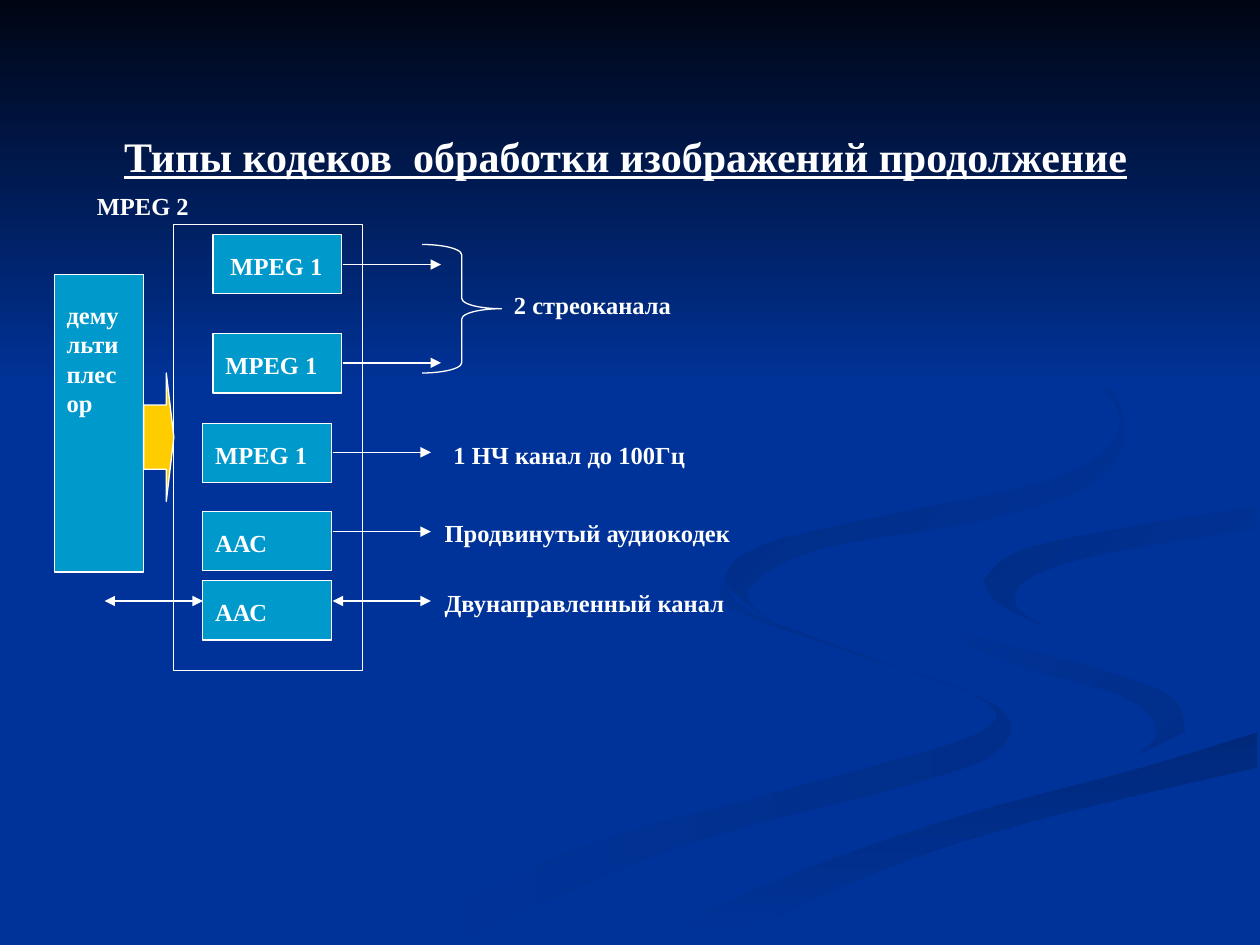
from lxml import etree
from pptx import Presentation
from pptx.dml.color import RGBColor
from pptx.enum.shapes import MSO_CONNECTOR as Line, MSO_SHAPE as Shape
from pptx.enum.text import PP_ALIGN as Align
from pptx.oxml.ns import qn
from pptx.util import Inches, Pt

COLORS = {
    "night": "000514", "background": "003399", "ribbon": "002E8A", "deep": "00297C",
    "shade": "002C85", "curl": "002B81", "codec": "0099CC", "arrow": "FFCC00",
    "white": "FFFFFF",
}
FONT = "Times New Roman"

EDGES = {
    "stream inner": [(5.75, 4.59), (5.81, 4.83), (6.79, 5.19), (7.76, 5.53), (7.74, 5.83),
                     (6.16, 6.29), (4.58, 6.74), (3, 7.49)],
    "stream outer": [(3.61, 7.49), (5.32, 6.74), (7.21, 6.23), (7.91, 5.97), (7.92, 5.61),
                     (6.82, 5.19), (5.94, 4.85), (5.75, 4.59)],
    "swirl outer": [(7.24, 4.64), (7.58, 4.98), (8.7, 5.3), (9.3, 5.53), (9.41, 5.81)],
    "swirl inner": [(8.94, 6.05), (9.18, 5.81), (8.92, 5.53), (7.97, 5.24), (7.33, 4.88),
                    (7.24, 4.64)],
    "sweep top": [(5.03, 7.49), (6.3, 6.93), (7.64, 6.47), (9.03, 6.1), (9.98, 5.81)],
    "sweep bottom": [(9.98, 6.09), (8.21, 6.51), (6.95, 6.92), (5.71, 7.49)],
    "field left": [(9.41, 5.81), (8.69, 6.11), (6.63, 6.68), (4.77, 7.49)],
    "field right": [(9.98, 5.38), (8.66, 5.09), (7.86, 4.73), (7.81, 4.6)],
    "field top": [(9.98, 3.87), (8.51, 4.11), (7.55, 4.32), (7.24, 4.64)],
    "bend outer": [(7.81, 4.6), (8.1, 4.37), (8.98, 4.18), (9.98, 4.02)],
    "bend inner": [(9.98, 4.2), (8.78, 4.39), (8.16, 4.59), (8.06, 4.8), (8.26, 4.96)],
    "bend back": [(8.26, 4.96), (7.91, 4.78), (7.81, 4.6)],
    "curl outer": [(6.22, 5), (5.93, 4.7), (6.49, 4.36), (7.86, 4.12), (8.76, 3.78),
                   (8.9, 3.24), (8.43, 2.75), (7.62, 2.33)],
    "curl inner": [(7.62, 2.33), (8.46, 2.79), (8.89, 3.35), (8.42, 3.78), (7.04, 4.09),
                   (6.05, 4.33), (5.77, 4.62), (6.22, 5)],
}
RIBBONS = [
    ("ribbon", "background", 180, ["stream inner", "stream outer"]),
    ("ribbon", "background", 225, ["swirl outer", "swirl inner"]),
    ("deep", "background", 90, ["sweep top", "sweep bottom"]),
    ("background", "background", 0, ["swirl outer", "field left", "sweep top",
                                     "field right", "bend outer", "field top"]),
    ("background", "shade", 225, ["bend outer", "bend inner", "bend back"]),
    ("background", "curl", 225, ["curl outer", "curl inner"]),
]
STEPS = 5

TITLE = "Типы кодеков  обработки изображений продолжение"
CODECS = [
    ("MPEG 1", 1.69, 1.86, 0.04), ("MPEG 1", 1.69, 2.65, 0), ("MPEG 1", 1.61, 3.36, 0),
    ("ААС", 1.61, 4.06, 0), ("ААС", 1.61, 4.61, 0),
]
CODEC_SIZE = (1.02, 0.47)
ARROWS = [
    (2.72, 2.1, False), (2.72, 2.88, False), (2.64, 3.59, False), (2.64, 4.22, False),
    (2.64, 4.77, True), (0.83, 4.77, True),
]
ARROW_LENGTH = 0.78
LABELS = [
    ("MPEG 2", 0.67, 1.47, 8.27, 0.34), ("2 стреоканала", 3.98, 2.25, 1.89, 0.34),
    ("1 НЧ канал до 100Гц", 3.5, 3.44, 2.68, 0.34),
    ("Продвинутый аудиокодек", 3.43, 4.06, 2.68, 0.57),
    ("Двунаправленный канал", 3.43, 4.62, 2.68, 0.57),
]


def rgb(name):
    return RGBColor.from_string(COLORS[name])


def curve_value(a, b, c, d, t):
    return b + t * (c - a + t * (2 * a - 5 * b + 4 * c - d + t * (3 * (b - c) + d - a))) / 2


def smooth(points):
    padded = [points[0], *points, points[-1]]
    curve = [
        tuple(curve_value(*axis, step / STEPS) for axis in zip(*padded[i:i + 4]))
        for i in range(len(points) - 1) for step in range(STEPS)
    ]
    return curve + [points[-1]]


def paint(shape, start, end, angle):
    shape.shadow.inherit = False
    shape.line.fill.background()
    if start == end:
        shape.fill.solid()
        shape.fill.fore_color.rgb = rgb(start)
        return
    shape.fill.gradient()
    shape.fill.gradient_angle = 360 - angle
    for stop, name in zip(shape.fill.gradient_stops, (start, end)):
        stop.color.rgb = rgb(name)


def add_ribbon(slide, start, end, angle, edges):
    corners = [(Inches(x), Inches(y)) for edge in edges for x, y in smooth(EDGES[edge])]
    builder = slide.shapes.build_freeform(*corners[0])
    builder.add_line_segments(corners[1:], close=True)
    paint(builder.convert_to_shape(), start, end, angle)


def add_outlined(slide, kind, x, y, width, height, fill=None):
    shape = slide.shapes.add_shape(kind, *map(Inches, (x, y, width, height)))
    shape.shadow.inherit = False
    shape.line.color.rgb = rgb("white")
    shape.line.width = Pt(0.75)
    if fill:
        shape.fill.solid()
        shape.fill.fore_color.rgb = rgb(fill)
    else:
        shape.fill.background()
    return shape


def add_text(slide, text, x, y, width, height, size=14):
    box = slide.shapes.add_textbox(*map(Inches, (x, y, width, height)))
    box.text_frame.word_wrap = True
    box.text_frame.text = text
    para = box.text_frame.paragraphs[0]
    font = para.runs[0].font
    font.name, font.size, font.bold = FONT, Pt(size), True
    font.color.rgb = rgb("white")
    return para


def add_arrow(slide, x, y, both_ends):
    ends = map(Inches, (x, y, x + ARROW_LENGTH, y))
    arrow = slide.shapes.add_connector(Line.STRAIGHT, *ends)
    arrow.line.color.rgb = rgb("white")
    arrow.line.width = Pt(0.75)
    outline = arrow.line._get_or_add_ln()
    for tag in ("a:headEnd", "a:tailEnd") if both_ends else ("a:tailEnd",):
        etree.SubElement(outline, qn(tag), type="triangle")
    etree.SubElement(outline.getparent(), qn("a:effectLst"))


def main():
    deck = Presentation()
    deck.slide_width, deck.slide_height = Inches(10), Inches(7.5)
    slide = deck.slides.add_slide(deck.slide_layouts[6])
    slide.background.fill.solid()
    slide.background.fill.fore_color.rgb = rgb("background")
    for ribbon in RIBBONS:
        add_ribbon(slide, *ribbon)
    sky = slide.shapes.add_shape(Shape.RECTANGLE, 0, 0, Inches(10), Inches(3.08))
    paint(sky, "night", "background", 90)

    title = add_text(slide, TITLE, 0.83, 0.99, 8.27, 0.9, size=24)
    title.alignment = Align.CENTER
    title.runs[0].font.underline = True

    for text, x, y, shift in CODECS:
        add_outlined(slide, Shape.RECTANGLE, x, y, *CODEC_SIZE, fill="codec")
        add_text(slide, text, x + shift, y + 0.08, 0.99, 0.34)
    add_outlined(slide, Shape.RECTANGLE, 1.38, 1.78, 1.5, 3.54)
    for arrow in ARROWS:
        add_arrow(slide, *arrow)
    brace = add_outlined(slide, Shape.RIGHT_BRACE, 3.35, 1.94, 0.63, 1.02)
    brace.adjustments[0] = 0.13
    for label in LABELS:
        add_text(slide, *label)

    add_outlined(slide, Shape.RECTANGLE, 0.43, 2.18, 0.71, 2.36, fill="codec")
    add_text(slide, "демультиплесор", 0.43, 2.33, 0.63, 1.27)
    feed = add_outlined(slide, Shape.RIGHT_ARROW, 1.14, 2.96, 0.24, 1.02, fill="arrow")
    feed.adjustments[1] = 0.25
    deck.save("out.pptx")


if __name__ == "__main__":
    main()
